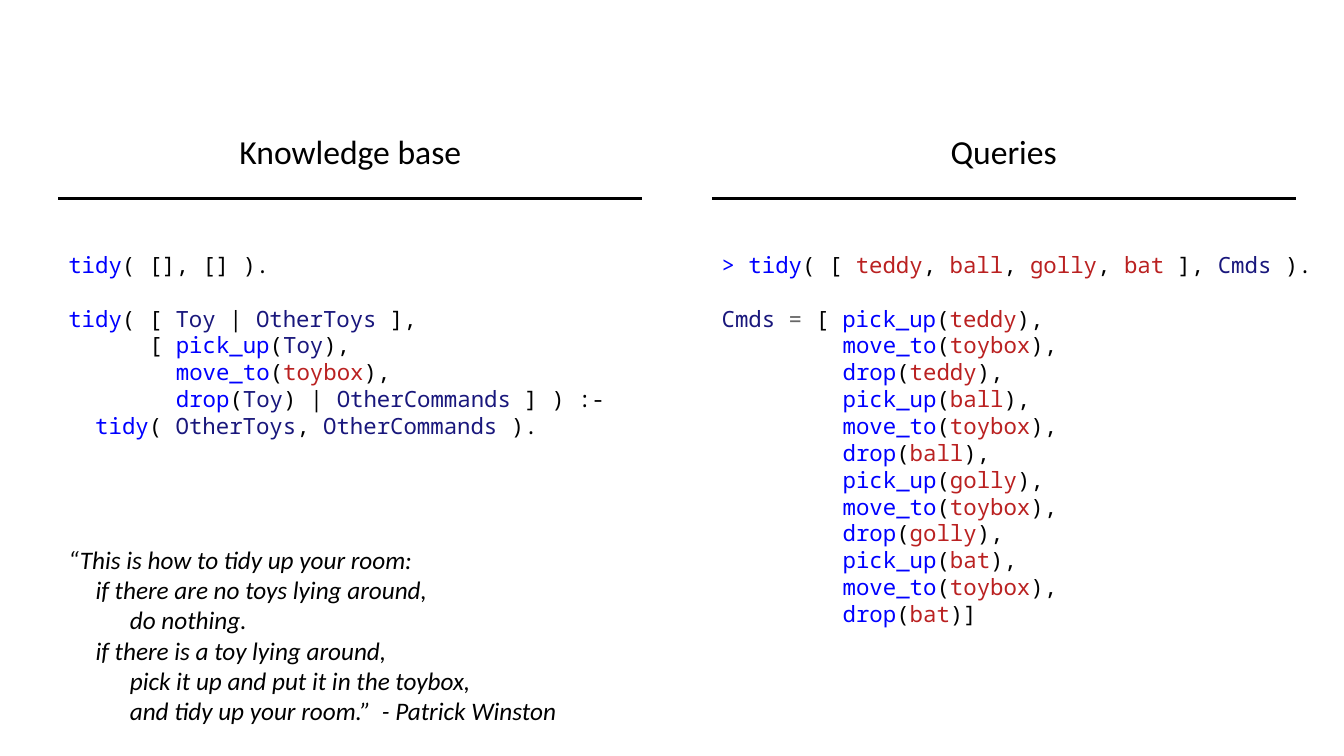
from itertools import groupby

from lxml import etree
from pptx import Presentation
from pptx.dml.color import RGBColor
from pptx.enum.shapes import MSO_CONNECTOR
from pptx.enum.text import PP_ALIGN
from pptx.oxml.ns import qn
from pptx.util import Inches, Pt

STRAIGHT = MSO_CONNECTOR.STRAIGHT
CENTER, LEFT = PP_ALIGN.CENTER, PP_ALIGN.LEFT

BODY_FONT, CODE_FONT = "Calibri", "Noto Sans Mono"
BLACK, BLUE, NAVY, RED, GREY = "000000", "0000FF", "19177C", "BA2121", "666666"

KNOWLEDGE_BASE = [
    "tidy( [], [] ).",
    "",
    "tidy( [ Toy | OtherToys ],",
    "      [ pick_up(Toy),",
    "        move_to(toybox),",
    "        drop(Toy) | OtherCommands ] ) :-",
    "  tidy( OtherToys, OtherCommands ).",
]
QUERIES = [
    "> tidy( [ teddy, ball, golly, bat ], Cmds ).",
    "",
    "Cmds = [ pick_up(teddy),",
    "         move_to(toybox),",
    "         drop(teddy),",
    "         pick_up(ball),",
    "         move_to(toybox),",
    "         drop(ball),",
    "         pick_up(golly),",
    "         move_to(toybox),",
    "         drop(golly),",
    "         pick_up(bat),",
    "         move_to(toybox),",
    "         drop(bat)]",
]
# heading, left edge, code box width, code
COLUMNS = [
    ("Knowledge base", 0.58, 6.14, KNOWLEDGE_BASE),
    ("Queries", 7.06, 7.72 - 1.45, QUERIES),
]
# indent level, text
QUOTE = [
    (0, "“This is how to tidy up your room:"),
    (1, "if there are no toys lying around,"),
    (2, "do nothing."),
    (1, "if there is a toy lying around,"),
    (2, "pick it up and put it in the toybox,"),
    (2, "and tidy up your room.”\t- Patrick Winston"),
]
QUOTE_INDENTS = [0, 0.27, 0.61]
AUTHOR_TAB = 3.35
COLUMN_W = 5.79
CODE_SIZE = 16
CODE_CHAR_W = 0.6 * CODE_SIZE / 72
CODE_LINE_H = 1.2 * CODE_SIZE


def style(r, font, size, color, italic=False):
    r.font.name, r.font.size, r.font.italic = font, Pt(size), italic
    r.font.color.rgb = RGBColor.from_string(color)


def add_text_frame(slide, x, y, w, h):
    tf = slide.shapes.add_textbox(Inches(x), Inches(y), Inches(w), Inches(h)).text_frame
    tf.word_wrap = True
    return tf


def next_paragraph(tf, first, indent=0.0, align=LEFT):
    p = tf.paragraphs[0] if first else tf.add_paragraph()
    p.alignment = align
    p_pr = p._p.get_or_add_pPr()
    p_pr.set("marL", str(Inches(indent)))
    p_pr.set("indent", "0")
    return p


def tokens(line):
    """Split a line of Prolog into (text, colour) pairs."""
    parts = ["".join(g) for _, g in groupby(line, lambda c: c.isalnum() or c == "_")]
    for part, following in zip(parts, parts[1:] + [""]):
        if part[0].isupper():
            color = NAVY
        elif part[0].isalpha():
            color = BLUE if following.startswith("(") else RED
        elif part == "> ":
            color = BLUE
        elif part.startswith(" = "):
            yield " = ", GREY
            part, color = part[3:], BLACK
        else:
            color = BLACK
        yield part, color


def add_code(slide, x, w, lines):
    tf = add_text_frame(slide, x, 2.44, w, 0.1 + 0.27 * len(lines))
    previous = None
    for line in lines:
        if line:
            code = line.lstrip()
            indent = (len(line) - len(code)) * CODE_CHAR_W
            p = next_paragraph(tf, previous is None, indent)
            if previous == "":
                p.space_before = Pt(CODE_LINE_H)
            for text, color in tokens(code):
                r = p.add_run()
                r.text = text
                style(r, CODE_FONT, CODE_SIZE, color)
        previous = line


def add_heading(slide, x, heading):
    tf = add_text_frame(slide, x, 1.25, COLUMN_W, 0.5)
    p = next_paragraph(tf, True, align=CENTER)
    p.text = heading
    style(p.runs[0], BODY_FONT, 24, BLACK)
    rule = slide.shapes.add_connector(
        STRAIGHT, Inches(x), Inches(1.97), Inches(x + COLUMN_W), Inches(1.97))
    rule.line.color.rgb = RGBColor.from_string(BLACK)
    rule.line.width = Pt(2)
    etree.SubElement(rule._element.spPr, qn("a:effectLst"))


def add_quote(slide):
    tf = add_text_frame(slide, 0.58, 5.35, 6.67, 1.92)
    for i, (level, text) in enumerate(QUOTE):
        p = next_paragraph(tf, i == 0, QUOTE_INDENTS[level])
        p.text = text
        style(p.runs[0], BODY_FONT, 18, BLACK, italic=True)
        if "\t" in text:
            tabs = etree.SubElement(p._p.get_or_add_pPr(), qn("a:tabLst"))
            etree.SubElement(tabs, qn("a:tab"), pos=str(Inches(AUTHOR_TAB)), algn="l")


def main():
    prs = Presentation()
    prs.slide_width, prs.slide_height = Inches(13.33), Inches(7.5)
    slide = prs.slides.add_slide(prs.slide_layouts[6])
    for heading, x, code_w, code in COLUMNS:
        add_heading(slide, x, heading)
        add_code(slide, x, code_w, code)
    add_quote(slide)
    prs.save("out.pptx")


if __name__ == "__main__":
    main()
